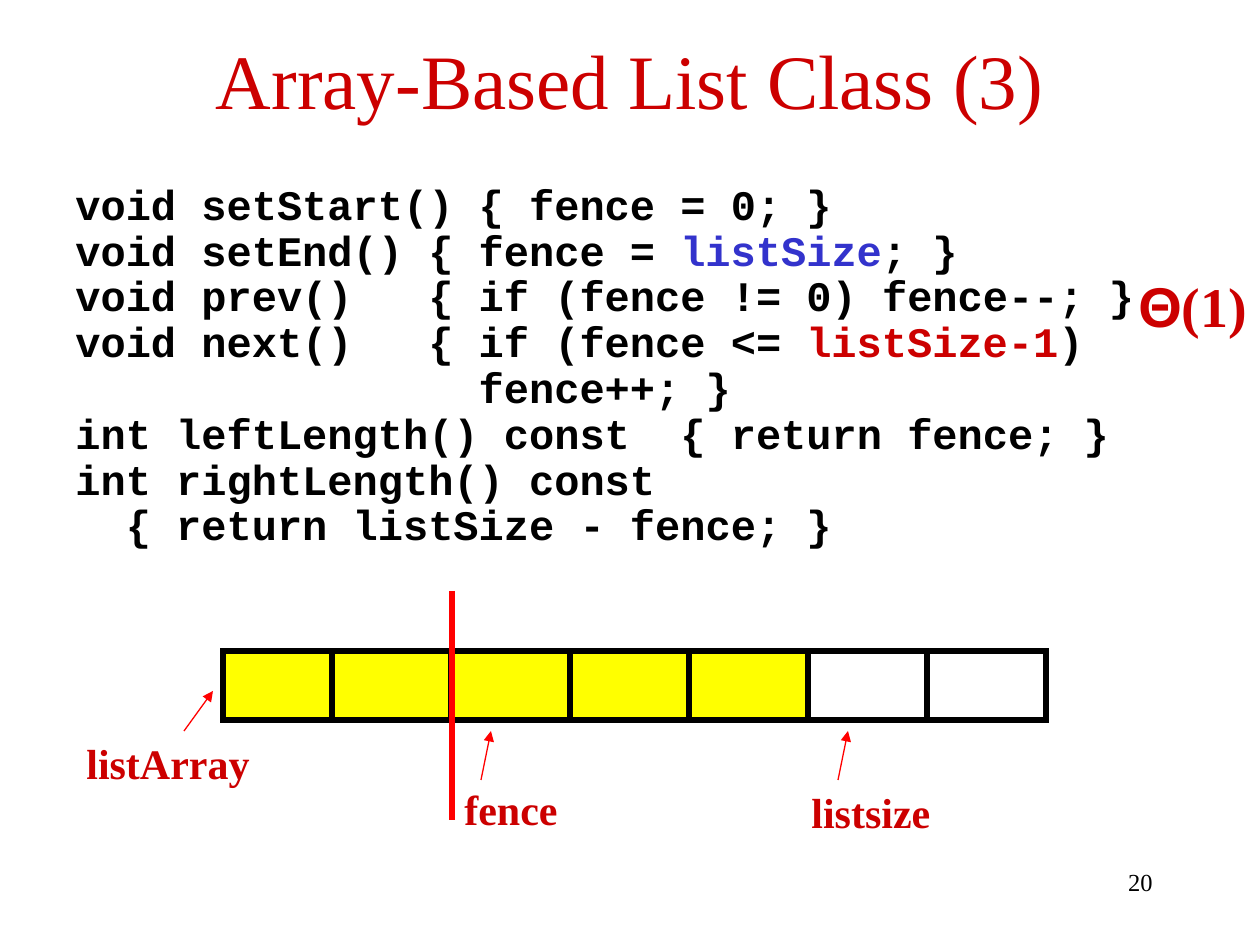
from lxml import etree
from pptx import Presentation
from pptx import util as u
from pptx.dml.color import RGBColor
from pptx.enum import shapes, text
from pptx.oxml.ns import qn

BLACK = RGBColor(0x00, 0x00, 0x00)
CRIMSON = RGBColor(0xCC, 0x00, 0x00)
RED = RGBColor(0xFF, 0x00, 0x00)
BLUE = RGBColor(0x33, 0x33, 0xCC)
YELLOW = RGBColor(0xFF, 0xFF, 0x00)
SERIF, MONO, SANS = "Times New Roman", "Courier New", "Arial"
PX_PER_INCH = 126


def px(length):
    return u.Emu(round(length * u.Inches(1) / PX_PER_INCH))


class SlideBuilder:
    def __init__(self, slide):
        self.slide = slide

    def run(self, paragraph, words, size, color=BLACK, font=SERIF, bold=False):
        run = paragraph.add_run()
        run.text = words
        run.font.size = u.Pt(size)
        run.font.name = font
        run.font.bold = bold
        run.font.color.rgb = color

    def title(self, words, left, top, width, height):
        title = self.slide.shapes.title
        title.left, title.top, title.width, title.height = map(px, (left, top, width, height))
        frame = title.text_frame
        frame.vertical_anchor = text.MSO_ANCHOR.MIDDLE
        frame.paragraphs[0].alignment = text.PP_ALIGN.CENTER
        self.run(frame.paragraphs[0], words, 44, CRIMSON)

    def text_box(self, left, top, width, height, wrap=True):
        frame = self.slide.shapes.add_textbox(*map(px, (left, top, width, height))).text_frame
        frame.word_wrap = wrap
        return frame

    def label(self, words, left, top, width, height):
        frame = self.text_box(left, top, width, height, wrap=False)
        frame.auto_size = text.MSO_AUTO_SIZE.SHAPE_TO_FIT_TEXT
        self.run(frame.paragraphs[0], words, 24, CRIMSON, bold=True)

    def code(self, lines, left, top, width, height):
        frame = self.text_box(left, top, width, height)
        for number, line in enumerate(lines):
            paragraph = frame.add_paragraph() if number else frame.paragraphs[0]
            paragraph.line_spacing = 0.7
            paragraph.space_before = u.Pt(6)
            for words, color in line:
                self.run(paragraph, words, 24, color, MONO, True)

    def cell(self, left, top, width, height, fill=None):
        cell = self.slide.shapes.add_shape(
            shapes.MSO_SHAPE.RECTANGLE, *map(px, (left, top, width, height)))
        cell.shadow.inherit = False
        if fill is None:
            cell.fill.background()
        else:
            cell.fill.solid()
            cell.fill.fore_color.rgb = fill
        cell.line.color.rgb = BLACK
        cell.line.width = u.Pt(3)
        etree.SubElement(cell._element.spPr.get_or_add_ln(), qn("a:miter"), lim="800000")

    def line(self, x1, y1, x2, y2, weight, arrow=False):
        line = self.slide.shapes.add_connector(
            shapes.MSO_CONNECTOR.STRAIGHT, *map(px, (x1, y1, x2, y2)))
        line.line.color.rgb = RED
        line.line.width = u.Pt(weight)
        properties = line._element.spPr
        if arrow:
            etree.SubElement(properties.get_or_add_ln(), qn("a:tailEnd"), type="triangle")
        etree.SubElement(properties, qn("a:effectLst"))


CODE = [
    [("void setStart() { fence = 0; }", BLACK)],
    [("void setEnd() { fence = ", BLACK), ("listSize", BLUE), ("; }", BLACK)],
    [("void prev()   { if (fence != 0) fence--; }", BLACK)],
    [("void next()   { if (fence <= ", BLACK), ("listSize-1", CRIMSON), (")", BLACK)],
    [("                fence++; }", BLACK)],
    [("int leftLength() const  { return fence; }", BLACK)],
    [("int rightLength() const", BLACK)],
    [("  { return listSize - fence; }", BLACK)],
]
CELL_TOP, CELL_WIDTH, CELL_HEIGHT = 651, 119, 69
FIRST_LEFT, SECOND_LEFT = 223, 332
USED_CELLS, ALL_CELLS = 5, 7


def main():
    deck = Presentation()
    deck.slide_width, deck.slide_height = u.Inches(10), u.Inches(7.5)
    builder = SlideBuilder(deck.slides.add_slide(deck.slide_layouts[5]))

    builder.title("Array-Based List Class (3)", 63, 16, 1134, 126)
    builder.code(CODE, 63, 186, 1134, 630)

    lefts = [FIRST_LEFT] + [SECOND_LEFT + CELL_WIDTH * i for i in range(ALL_CELLS - 1)]
    for index, left in enumerate(lefts):
        fill = YELLOW if index < USED_CELLS else None
        builder.cell(left, CELL_TOP, CELL_WIDTH, CELL_HEIGHT, fill)

    builder.line(452, 591, 452, 820, 3)
    for arrow in ((184, 731, 213, 691), (481, 780, 491, 731), (838, 780, 848, 731)):
        builder.line(*arrow, 0.75, arrow=True)

    builder.label("listArray", 74, 731, 190, 63)
    builder.label("fence", 452, 777, 120, 63)
    builder.label("listsize", 799, 780, 146, 63)

    cost = builder.text_box(1126, 265, 149, 81).paragraphs[0]
    builder.run(cost, "Θ", 32, CRIMSON, SANS, True)
    builder.run(cost, "(1)", 32, CRIMSON, SERIF, True)

    page = builder.text_box(903, 861, 262, 63).paragraphs[0]
    page.alignment = text.PP_ALIGN.RIGHT
    builder.run(page, "20", 14)

    deck.save("out.pptx")


if __name__ == "__main__":
    main()
